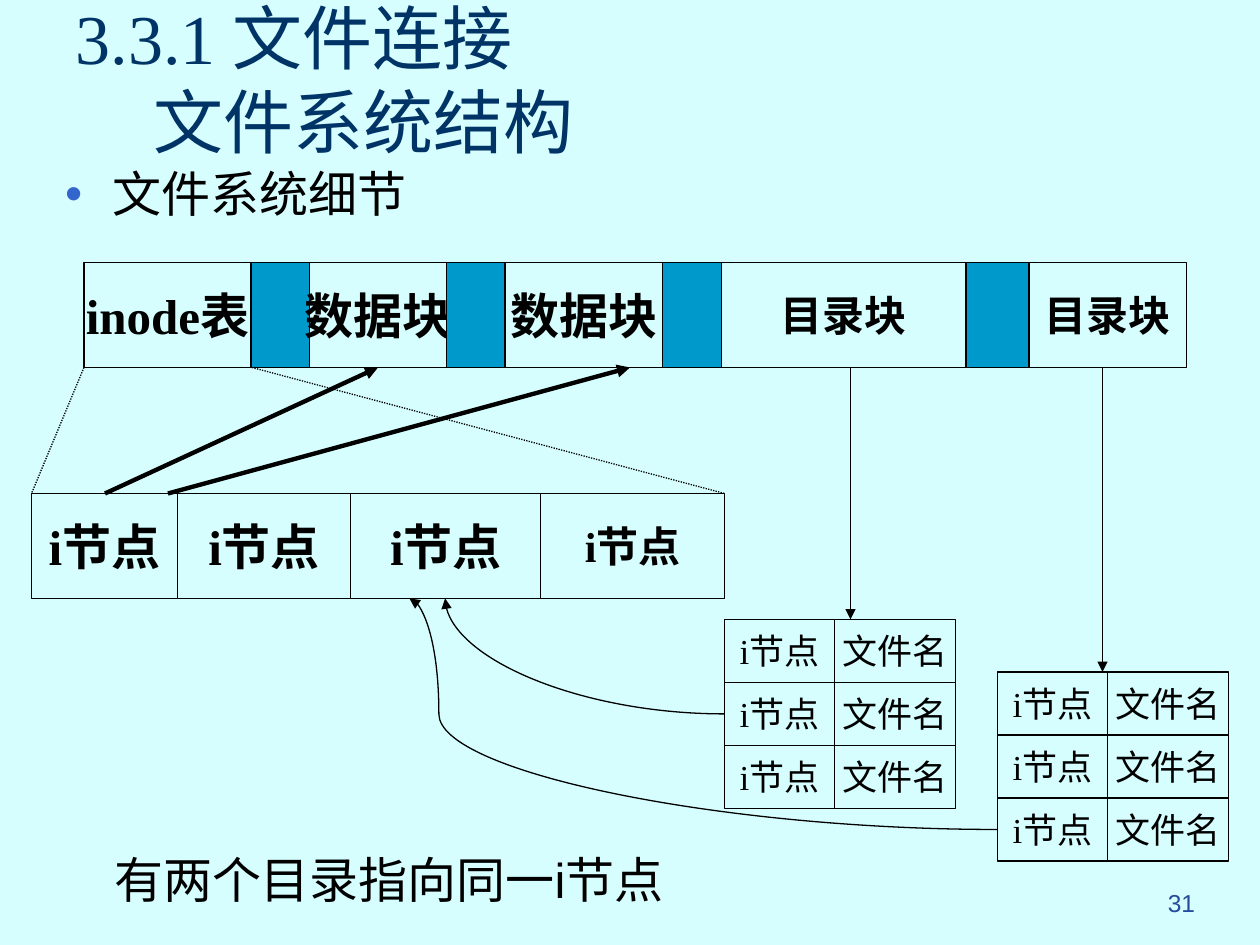
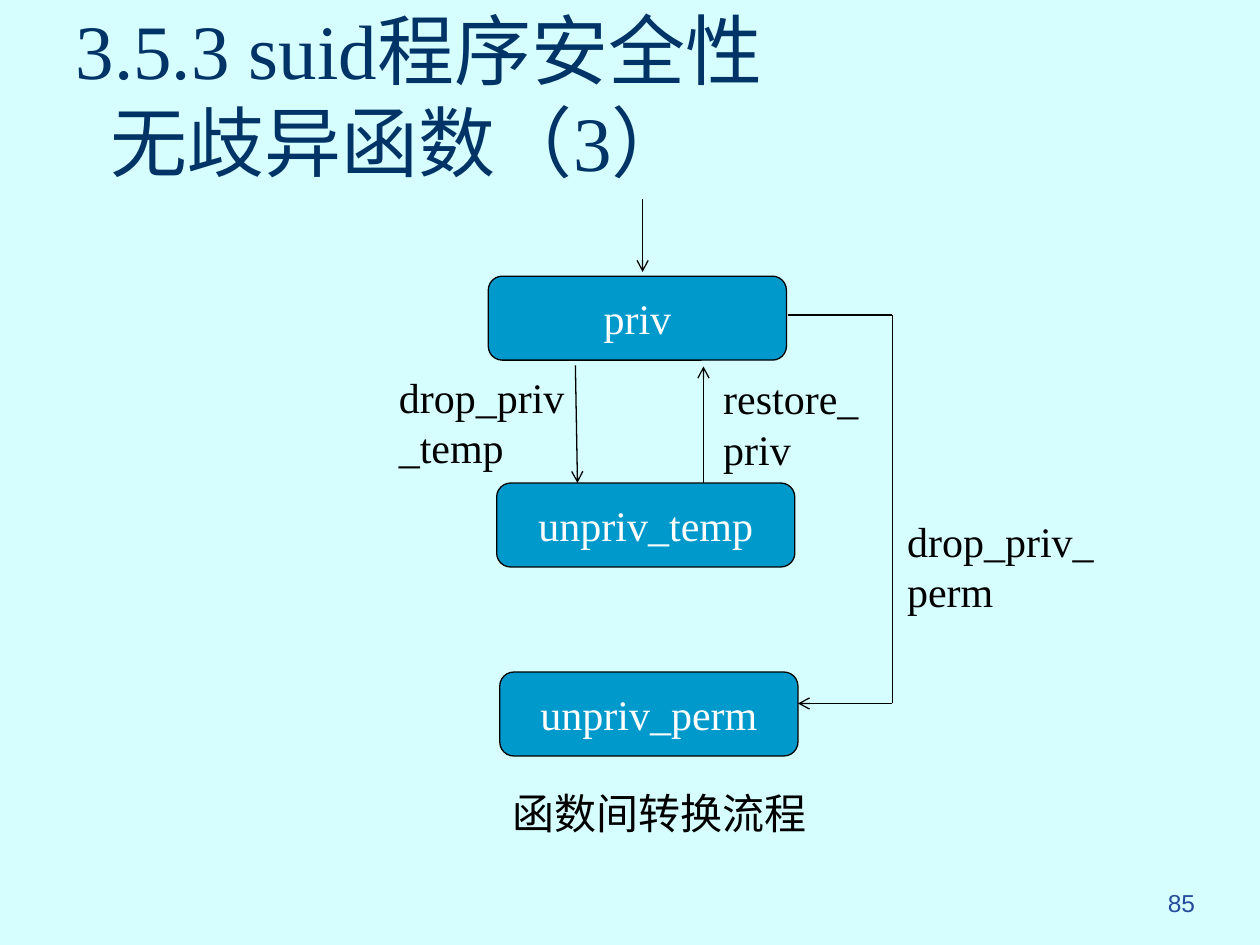
from lxml import etree
from pptx import Presentation
from pptx.dml.color import RGBColor
from pptx.enum.dml import MSO_LINE
from pptx.enum.shapes import MSO_CONNECTOR, MSO_SHAPE
from pptx.enum.text import MSO_ANCHOR, MSO_AUTO_SIZE, PP_ALIGN
from pptx.oxml.ns import qn
from pptx.util import Inches, Pt

BACKGROUND, TITLE_BLUE, NUMBER_BLUE = "D6FEFE", "003366", "254C9C"
BLOCK_BLUE, BULLET_BLUE, BLACK, WHITE = "0099CC", "3366CC", "000000", "FFFFFF"
SERIF, SANS = "Times New Roman", "Arial"
COLUMNS, ROWS = 120, 90
CELL = Inches(10) / COLUMNS


def grid(*cells):
    """Turn numbers of grid cells into lengths."""
    return [round(cell * CELL) for cell in cells]


def color(hex_string):
    return RGBColor.from_string(hex_string)


def format_text(frame, size, font=SERIF, hex_color=BLACK, bold=False, align=PP_ALIGN.LEFT):
    for paragraph in frame.paragraphs:
        paragraph.alignment = align
        for run in paragraph.runs:
            run.font.size = Pt(size)
            run.font.name = font
            run.font.bold = bold
            run.font.color.rgb = color(hex_color)


def place(shape, left, top, width, height):
    shape.left, shape.top, shape.width, shape.height = grid(left, top, width, height)


def set_title(slide, lines, size, height, second_indent):
    title = slide.shapes.title
    place(title, 6, 0, 108, height)
    frame = title.text_frame
    frame.text = "\n".join(lines)
    frame.auto_size = MSO_AUTO_SIZE.NONE
    frame.vertical_anchor = MSO_ANCHOR.MIDDLE
    format_text(frame, size, hex_color=TITLE_BLUE)
    properties = frame.paragraphs[1]._p.get_or_add_pPr()
    properties.set("marL", str(Inches(second_indent)))


def set_bullet(slide, text):
    body = slide.placeholders[1]
    place(body, 5, 15, 109, 9)
    frame = body.text_frame
    frame.text = text
    frame.auto_size = MSO_AUTO_SIZE.NONE
    format_text(frame, 28, SANS)
    properties = frame.paragraphs[0]._p.get_or_add_pPr()
    properties.set("marL", str(Inches(0.38)))
    properties.set("indent", str(-Inches(0.38)))
    bullet_color = etree.SubElement(properties, qn("a:buClr"))
    etree.SubElement(bullet_color, qn("a:srgbClr"), val=BULLET_BLUE)
    etree.SubElement(properties, qn("a:buChar"), char="•")


def add_label(slide, text, left, top, width, height, size=24, font=SERIF,
              hex_color=BLACK, align=PP_ALIGN.LEFT):
    label = slide.shapes.add_textbox(*grid(left, top, width, height))
    label.text_frame.word_wrap = True
    label.text_frame.text = text
    format_text(label.text_frame, size, font, hex_color, align=align)


def add_box(slide, text, left, top, width, height, size=24, kind=MSO_SHAPE.RECTANGLE,
            fill=None, hex_color=BLACK, bold=False):
    box = slide.shapes.add_shape(kind, *grid(left, top, width, height))
    box.shadow.inherit = False
    if fill:
        box.fill.solid()
        box.fill.fore_color.rgb = color(fill)
    else:
        box.fill.background()
    box.line.color.rgb = color(BLACK)
    box.line.width = Pt(0.75)
    frame = box.text_frame
    frame.word_wrap = False
    frame.vertical_anchor = MSO_ANCHOR.MIDDLE
    if text:
        frame.text = text
        format_text(frame, size, SERIF, hex_color, bold, PP_ALIGN.CENTER)


def add_box_row(slide, left, top, height, cells, bold=True):
    """Lay (text, width, size) cells side by side; a cell without text is a filled gap."""
    for text, width, size in cells:
        add_box(slide, text, left, top, width, height, size,
                fill=None if text else BLOCK_BLUE, bold=bold)
        left += width


def add_line(slide, start, end, head=None, width=0.75, dash=None, kind=MSO_CONNECTOR.STRAIGHT):
    line = slide.shapes.add_connector(kind, *grid(*start, *end))
    line.line.color.rgb = color(BLACK)
    line.line.width = Pt(width)
    if dash:
        line.line.dash_style = dash
    if head:
        etree.SubElement(line.line._get_or_add_ln(), qn("a:tailEnd"), type=head)
    etree.SubElement(line._element.spPr, qn("a:effectLst"))
    return line


def add_curve(slide, start, end, preset, bend=None):
    curve = add_line(slide, start, end, "triangle", kind=MSO_CONNECTOR.CURVE)
    geometry = curve._element.spPr.find(qn("a:prstGeom"))
    geometry.set("prst", preset)
    if bend:
        guides = geometry.find(qn("a:avLst"))
        etree.SubElement(guides, qn("a:gd"), name="adj1", fmla=f"val {round(bend * 100000)}")


def add_slide(presentation, layout, number):
    slide = presentation.slides.add_slide(presentation.slide_layouts.get_by_name(layout))
    add_label(slide, number, 90, 84, 25, 6, 14, SANS, NUMBER_BLUE, PP_ALIGN.RIGHT)
    return slide


def build_file_system(presentation):
    slide = add_slide(presentation, "Title and Content", "31")
    set_title(slide, ["3.3.1 文件连接", "文件系统结构"], 40, 15, 0.62)
    set_bullet(slide, "文件系统细节")

    disk_top, inode_top, block_height = 25, 47, 10
    disk_bottom, inode_bottom = disk_top + block_height, inode_top + block_height
    gap = ("", 5.6, 24)
    add_box_row(slide, 8, disk_top, block_height, [
        ("inode表", 15.9, 28), gap, ("数据块", 13, 28), gap, ("数据块", 15, 28), gap,
        ("目录块", 23.3, 24), ("", 6, 24), ("目录块", 15, 24)])
    add_box_row(slide, 3, inode_top, block_height, [
        ("i节点", 13.9, 28), ("i节点", 16.5, 28), ("i节点", 18.1, 28), ("i节点", 17.5, 24)])

    for table_edge, inode_edge in ((8, 3), (24, 69)):
        add_line(slide, (table_edge, disk_bottom), (inode_edge, inode_top),
                 dash=MSO_LINE.ROUND_DOT)
    for inode, data_block in ((10, 36), (16, 60)):
        add_line(slide, (inode, inode_top), (data_block, disk_bottom), "triangle", 2.5)

    entry_height = 6
    for left, top, arrow in ((69, 59, 81), (95, 64, 105)):
        for entry in range(3):
            add_box_row(slide, left, top + entry * entry_height, entry_height,
                        [("i节点", 10.5, 20), ("文件名", 11.5, 20)], bold=False)
        add_line(slide, (arrow, disk_bottom), (arrow, top), "triangle")

    add_curve(slide, (69, 68), (42.4, inode_bottom), "curvedConnector2")
    add_curve(slide, (95, 79), (39, inode_bottom), "curvedConnector3", 0.95)
    add_label(slide, "有两个目录指向同一i节点", 9.7, 80.3, 65.3, 9, 28, SANS)


def build_privilege_flow(presentation):
    slide = add_slide(presentation, "Title Only", "85")
    set_title(slide, ["3.5.3 suid程序安全性", "无歧异函数（3）"], 44, 18, 0.28)

    for state, left, top in (("priv", 46.5, 26.3), ("unpriv_temp", 47.3, 46),
                             ("unpriv_perm", 47.6, 64)):
        add_box(slide, state, left, top, 28.4, 8, kind=MSO_SHAPE.ROUNDED_RECTANGLE,
                fill=BLOCK_BLUE, hex_color=WHITE)

    for start, end, head in (
            ((61.2, 19), (61.2, 25.9), "arrow"),
            ((54.8, 34.8), (55, 46), "arrow"),
            ((67, 46), (67, 34.9), "arrow"),
            ((75, 30), (85, 30), None),
            ((85, 30), (85, 67), None),
            ((85, 67), (76, 67), "arrow")):
        add_line(slide, start, end, head)

    for text, left, top, width, height in (
            ("drop_priv_temp", 36.8, 34.8, 18.4, 11),
            ("restore_priv", 67.7, 34.9, 17, 11),
            ("drop_priv_\nperm", 85.2, 48.5, 22.7, 11),
            ("函数间转换流程", 47.6, 74.4, 34.8, 6)):
        add_label(slide, text, left, top, width, height)


def main():
    presentation = Presentation()
    presentation.slide_width, presentation.slide_height = grid(COLUMNS, ROWS)
    background = presentation.slide_master.background.fill
    background.solid()
    background.fore_color.rgb = color(BACKGROUND)
    build_file_system(presentation)
    build_privilege_flow(presentation)
    presentation.save("out.pptx")


if __name__ == "__main__":
    main()
